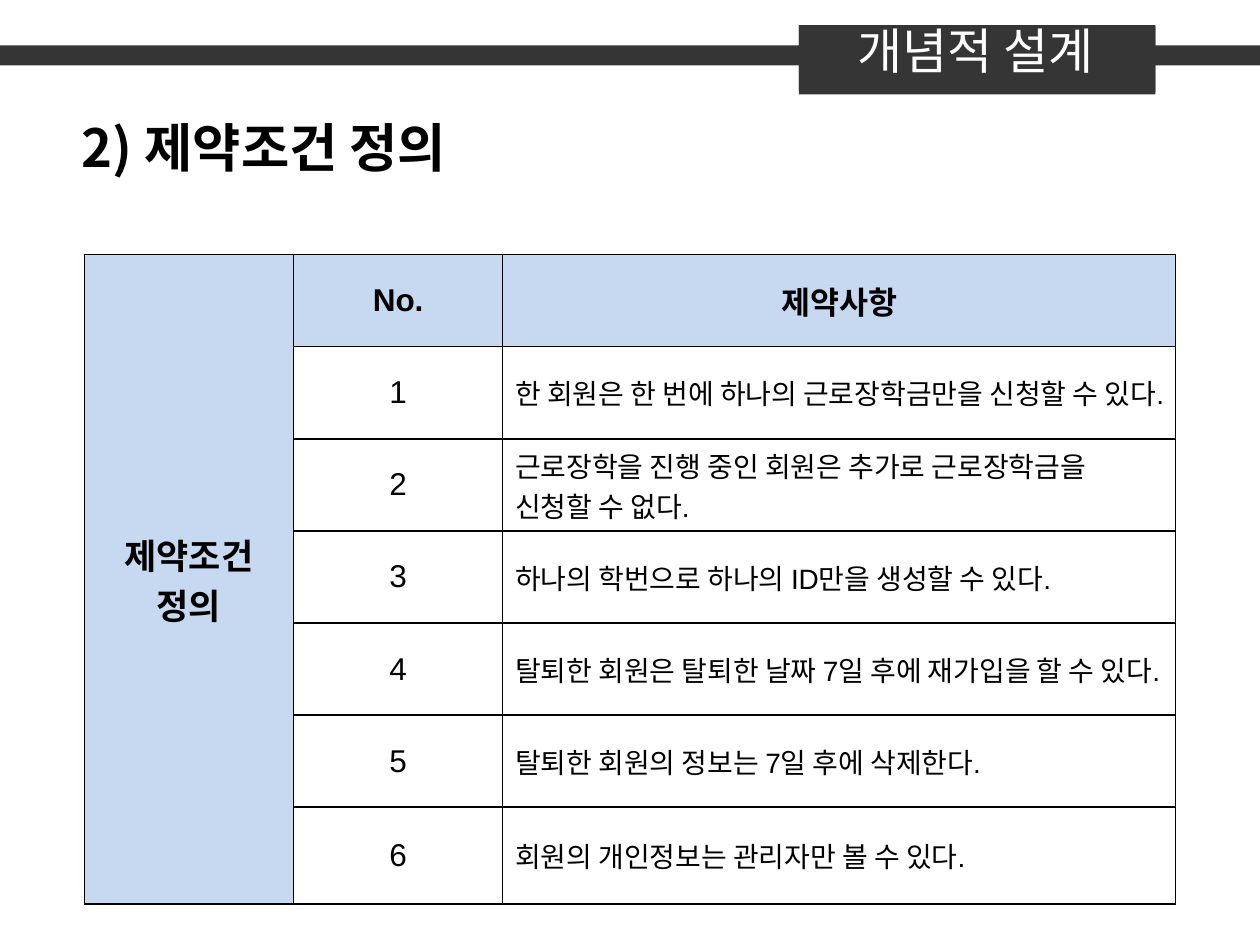
from lxml import etree
from pptx import Presentation
from pptx.dml.color import RGBColor
from pptx.enum.shapes import MSO_SHAPE
from pptx.enum.text import MSO_ANCHOR, MSO_AUTO_SIZE, PP_ALIGN
from pptx.oxml.ns import qn
from pptx.util import Inches, Pt

RECTANGLE = MSO_SHAPE.RECTANGLE
MIDDLE, TOP = MSO_ANCHOR.MIDDLE, MSO_ANCHOR.TOP
CENTER, LEFT = PP_ALIGN.CENTER, PP_ALIGN.LEFT
NO_AUTOFIT = MSO_AUTO_SIZE.NONE

KOREAN, LATIN = "Noto Sans CJK KR", "Arial"
DARK, WHITE, BLACK, HEADER = "363535", "FFFFFF", "000000", "C6D9F1"

CONSTRAINTS = [
    "한 회원은 한 번에 하나의 근로장학금만을 신청할 수 있다.",
    "근로장학을 진행 중인 회원은 추가로 근로장학금을 신청할 수 없다.",
    "하나의 학번으로 하나의 ID만을 생성할 수 있다.",
    "탈퇴한 회원은 탈퇴한 날짜 7일 후에 재가입을 할 수 있다.",
    "탈퇴한 회원의 정보는 7일 후에 삭제한다.",
    "회원의 개인정보는 관리자만 볼 수 있다.",
]


def rgb(value):
    return RGBColor.from_string(value)


def write(frame, text, size, color=BLACK, font=LATIN, bold=False, align=LEFT):
    frame.text = text
    for paragraph in frame.paragraphs:
        paragraph.alignment = align
        paragraph.font.size = Pt(size)
        paragraph.font.name = font
        paragraph.font.bold = bold
        paragraph.font.color.rgb = rgb(color)


def add_block(slide, left, top, width, height):
    block = slide.shapes.add_shape(
        RECTANGLE, Inches(left), Inches(top), Inches(width), Inches(height))
    block.shadow.inherit = False
    block.fill.solid()
    block.fill.fore_color.rgb = rgb(DARK)
    block.line.fill.background()


def add_banner(slide, left, top, width, height):
    """Full-width band with a section tab whose side edges are reinforced."""
    add_block(slide, 0, top + 0.16, 10, 0.16)
    add_block(slide, left, top, width, height)
    edge = 0.08
    add_block(slide, left, top, edge, 0.52)
    add_block(slide, left + width - edge, top + 0.01, edge, 0.52)
    label = slide.shapes.add_textbox(
        Inches(left), Inches(top - 0.09), Inches(width - 0.03), Inches(0.57))
    label.text_frame.word_wrap = True
    write(label.text_frame, "개념적 설계", 28, WHITE, KOREAN, align=CENTER)


def place_title(slide, left, top, width, height):
    title = slide.shapes.title
    title.left, title.top = Inches(left), Inches(top)
    title.width, title.height = Inches(width), Inches(height)
    frame = title.text_frame
    frame.auto_size = NO_AUTOFIT
    frame.vertical_anchor = TOP
    write(frame, "2) 제약조건 정의", 30, font=KOREAN, bold=True)


def set_borders(cell):
    properties = cell._tc.get_or_add_tcPr()
    for position, side in enumerate(("a:lnL", "a:lnR", "a:lnT", "a:lnB")):
        line = etree.Element(qn(side), w=str(Pt(1)))
        fill = etree.SubElement(line, qn("a:solidFill"))
        etree.SubElement(fill, qn("a:srgbClr"), val=BLACK)
        properties.insert(position, line)


def add_constraints_table(slide, left, top, width, height):
    row_count = len(CONSTRAINTS) + 1
    table = slide.shapes.add_table(
        row_count, 3, Inches(left), Inches(top), Inches(width), Inches(height)).table
    narrow = 1.66
    for column, column_width in zip(table.columns, (narrow, narrow, width - 2 * narrow)):
        column.width = Inches(column_width)

    for row in range(row_count):
        for column in range(3):
            cell = table.cell(row, column)
            cell.vertical_anchor = MIDDLE
            cell.fill.solid()
            cell.fill.fore_color.rgb = rgb(HEADER if row == 0 or column == 0 else WHITE)
            set_borders(cell)

    category = table.cell(0, 0)
    category.merge(table.cell(row_count - 1, 0))
    write(category.text_frame, "제약조건\n정의", 20, bold=True, align=CENTER)
    for column, heading in enumerate(("No.", "제약사항"), start=1):
        write(table.cell(0, column).text_frame, heading, 18, bold=True, align=CENTER)
    for number, constraint in enumerate(CONSTRAINTS, start=1):
        write(table.cell(number, 1).text_frame, str(number), 18, align=CENTER)
        write(table.cell(number, 2).text_frame, constraint, 16)


def main():
    presentation = Presentation()
    presentation.slide_width, presentation.slide_height = Inches(10), Inches(7.5)
    title_only = presentation.slide_layouts[5]
    slide = presentation.slides.add_slide(title_only)
    add_banner(slide, 6.34, 0.2, 2.83, 0.55)
    add_constraints_table(slide, 0.67, 2.02, 8.66, 5.12)
    place_title(slide, 0.55, 0.86, 3.74, 0.61)
    presentation.save("out.pptx")


if __name__ == "__main__":
    main()
